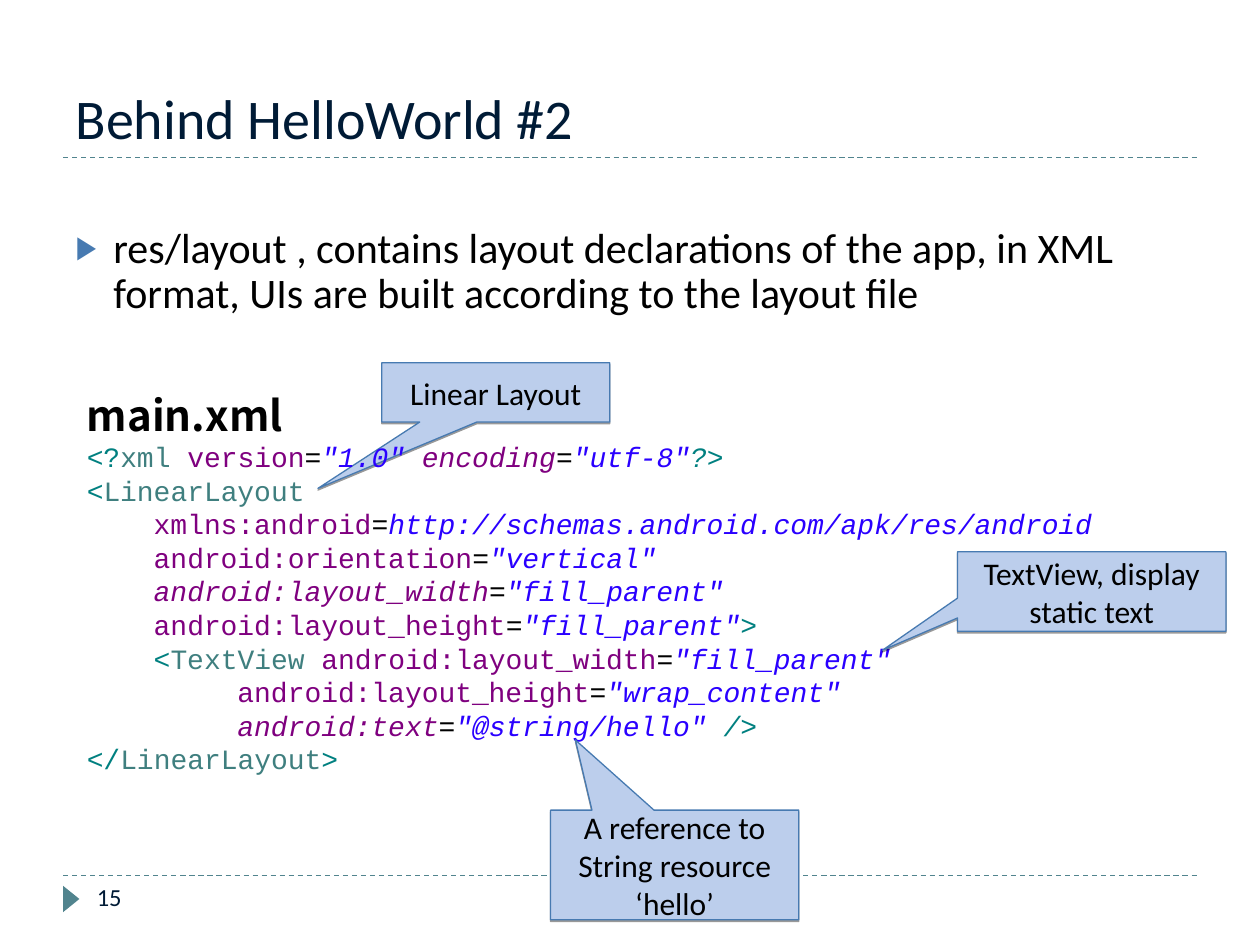
from lxml.etree import SubElement
from pptx import Presentation
from pptx.dml.color import RGBColor
from pptx.enum.dml import MSO_LINE
from pptx.enum.shapes import MSO_CONNECTOR, MSO_SHAPE
from pptx.enum.text import MSO_ANCHOR as Anchor, PP_ALIGN as Align
from pptx.oxml.ns import qn
from pptx.util import Inches, Pt

COLORS = {
    "black": "000000", "navy": "001B36", "teal": "51848E", "blue": "477AB1",
    "pale": "BCCEEC", "mark": "008080", "tag": "3F7F7F", "attr": "7F007F",
    "equals": "000000", "value": "2A00FF",
}

TITLE = "Behind HelloWorld #2"
SUMMARY = ("res/layout , contains layout declarations of the app, in XML format, "
           "UIs are built according to the layout file")
PAGE = "15"
FILE_NAME = "main.xml"

# Each line: starts in italics?, then (role, text); a value turns on italics
CODE = [
    (False, [("mark", "<?"), ("tag", "xml "), ("attr", "version"), ("equals", "="),
             ("value", '"1.0" '), ("attr", "encoding"), ("equals", "="),
             ("value", '"utf-8"'), ("mark", "?>")]),
    (False, [("mark", "<"), ("tag", "LinearLayout")]),
    (False, [("attr", "    xmlns:android"), ("equals", "="),
             ("value", "http://schemas.android.com/apk/res/android")]),
    (False, [("attr", "    android:orientation"), ("equals", "="),
             ("value", '"vertical"')]),
    (True, [("attr", "    android:layout_width"), ("equals", "="),
            ("value", '"fill_parent"')]),
    (False, [("attr", "    android:layout_height"), ("equals", "="),
             ("value", '"fill_parent"'), ("mark", ">")]),
    (False, [("mark", "    <"), ("tag", "TextView "), ("attr", "android:layout_width"),
             ("equals", "="), ("value", '"fill_parent"')]),
    (False, [("attr", "         android:layout_height"), ("equals", "="),
             ("value", '"wrap_content"')]),
    (True, [("attr", "         android:text"), ("equals", "="),
            ("value", '"@string/hello" '), ("mark", "/>")]),
    (False, [("mark", "</"), ("tag", "LinearLayout"), ("mark", ">")]),
]

# Text, box (left, top, width, height), pointer offset as share of the box
CALLOUTS = [
    ("Linear Layout", (3.03, 2.88, 1.81, 0.47), (-0.78, 1.62)),
    ("TextView, display static text", (7.6, 4.38, 2.13, 0.63), (-0.78, 0.74)),
    ("A reference to String resource ‘hello’", (4.37, 6.43, 1.97, 0.87), (-0.4, -1.14)),
]

FORMATS = {
    "title": {"size": Pt(32), "name": "Calibri"},
    "summary": {"size": Pt(24), "name": "Calibri"},
    "page": {"size": Pt(14), "name": "Calibri"},
    "callout": {"size": Pt(18), "name": "Calibri"},
    "file": {"size": Pt(24), "name": "Noto Sans CJK SC", "bold": True},
    "code": {"size": Pt(16), "name": "Courier New"},
}


def rgb(color):
    return RGBColor.from_string(COLORS[color])


def inches(box):
    return [Inches(length) for length in box]


def add_run(paragraph, text, style, color, **extra):
    run = paragraph.add_run()
    run.text = text
    for key, value in {**FORMATS[style], **extra}.items():
        setattr(run.font, key, value)
    run.font.color.rgb = rgb(color)


def place(placeholder, box, anchor):
    placeholder.left, placeholder.top, placeholder.width, placeholder.height = inches(box)
    placeholder.text_frame.vertical_anchor = anchor
    return placeholder.text_frame.paragraphs[0]


def add_text_box(box):
    frame = slide.shapes.add_textbox(*inches(box)).text_frame
    frame.word_wrap = True
    return frame


def add_callout(text, box, pointer):
    callout = slide.shapes.add_shape(MSO_SHAPE.RECTANGULAR_CALLOUT, *inches(box))
    callout.adjustments[0], callout.adjustments[1] = pointer
    callout.fill.solid()
    callout.fill.fore_color.rgb = rgb("pale")
    callout.line.color.rgb = rgb("blue")
    callout.line.width = Pt(0.75)
    callout.shadow.inherit = False
    effects = callout._element.spPr.find(qn("a:effectLst"))
    shadow = SubElement(effects, qn("a:outerShdw"), blurRad="0", dist=str(Pt(1)),
                        dir="5400000", rotWithShape="0")
    shade = SubElement(shadow, qn("a:srgbClr"), val=COLORS["black"])
    SubElement(shade, qn("a:alpha"), val="40000")
    frame = callout.text_frame
    frame.word_wrap = True
    frame.vertical_anchor = Anchor.MIDDLE
    frame.paragraphs[0].alignment = Align.CENTER
    add_run(frame.paragraphs[0], text, "callout", "black")


prs = Presentation()
prs.slide_width, prs.slide_height = Inches(10), Inches(7.5)
slide = prs.slides.add_slide(prs.slide_layouts[1])

# Dashed rules and page marker
for y in (6.95, 1.25):
    rule = slide.shapes.add_connector(MSO_CONNECTOR.STRAIGHT, *inches((0.5, y, 9.5, y)))
    rule.line.color.rgb = rgb("teal")
    rule.line.width = Pt(0.75)
    rule.line.dash_style = MSO_LINE.DASH
    SubElement(rule._element.spPr, qn("a:effectLst"))

marker = slide.shapes.add_shape(MSO_SHAPE.ISOSCELES_TRIANGLE, *inches((0.46, 7.07, 0.21, 0.13)))
marker.rotation = 90
marker.shadow.inherit = False
marker.fill.solid()
marker.fill.fore_color.rgb = rgb("teal")
marker.line.fill.background()

page = add_text_box((0.67, 6.95, 2.17, 0.4))
add_run(page.paragraphs[0], PAGE, "page", "navy")

# Title
heading = place(slide.shapes.title, (0.5, 0.17, 9, 1.08), Anchor.BOTTOM)
heading.alignment = Align.LEFT
add_run(heading, TITLE, "title", "navy")

# Bulleted summary
summary = place(slide.placeholders[1], (0.5, 1.75, 9, 0.9), Anchor.TOP)
props = summary._p.get_or_add_pPr()
props.set("marL", str(Inches(0.3)))
props.set("indent", str(Inches(-0.3)))
SubElement(SubElement(props, qn("a:buClr")), qn("a:srgbClr"), val=COLORS["blue"])
SubElement(props, qn("a:buSzPct"), val="76000")
SubElement(props, qn("a:buChar"), char="▶")
summary.line_spacing = 0.9
summary.space_before = Pt(0)
add_run(summary, SUMMARY, "summary", "black")

# The first callout lies behind the code, the others in front
add_callout(*CALLOUTS[0])

listing = add_text_box((0.59, 3.04, 8.98, 3.43))
add_run(listing.paragraphs[0], FILE_NAME, "file", "black")
for italic, parts in CODE:
    line = listing.add_paragraph()
    for role, text in parts:
        italic = italic or role == "value"
        add_run(line, text, "code", role, italic=italic)

for callout in CALLOUTS[1:]:
    add_callout(*callout)

prs.save("out.pptx")
